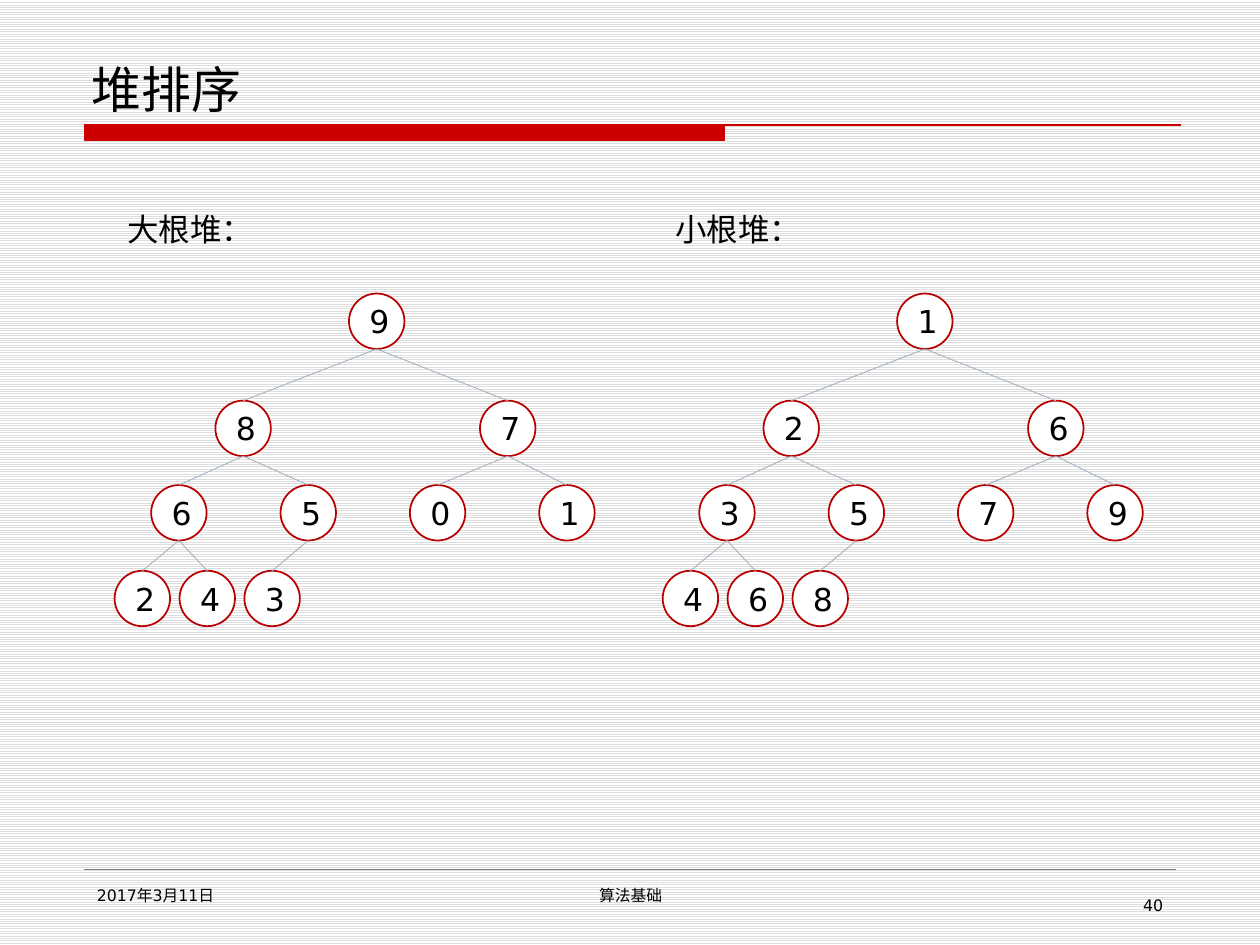
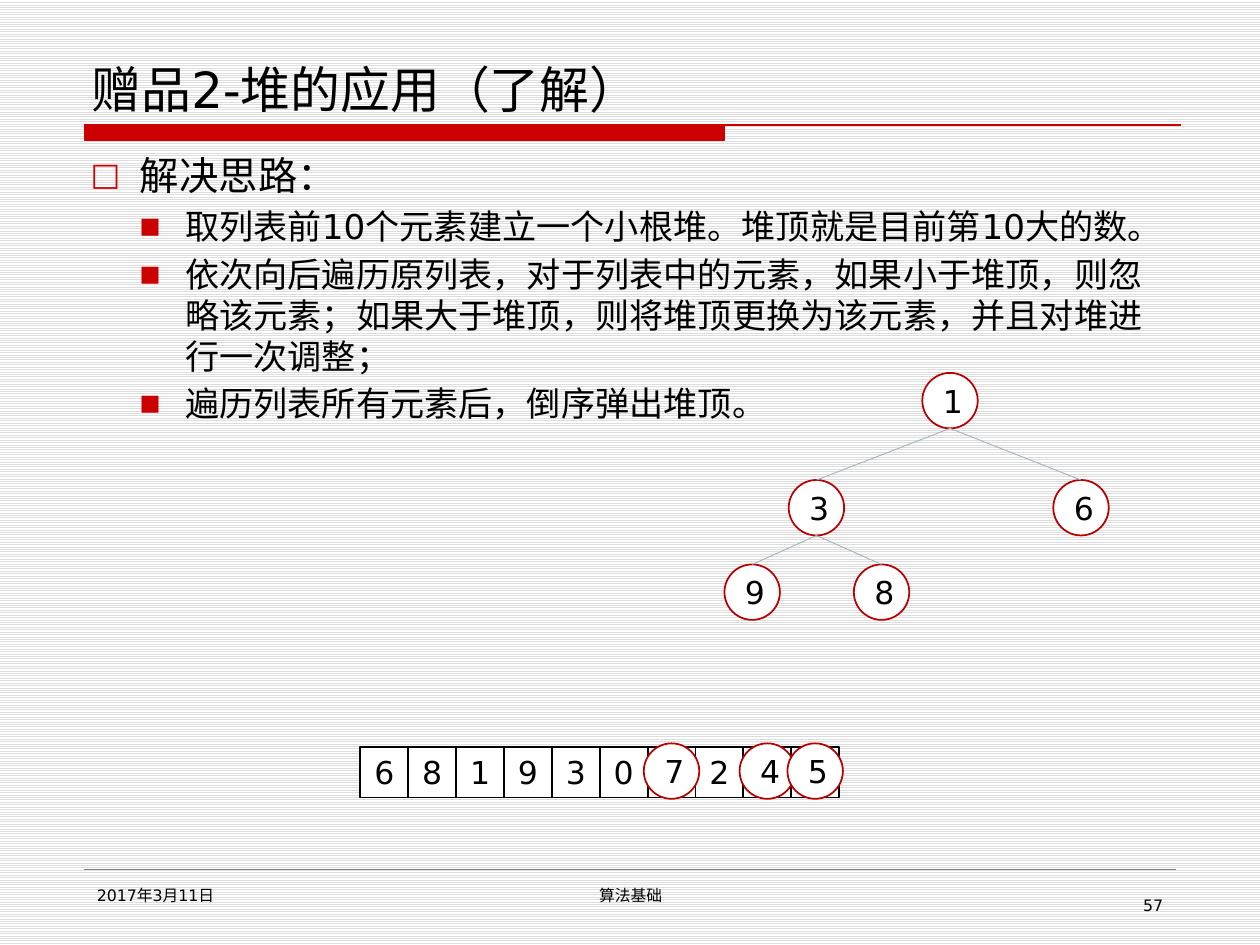
from dataclasses import dataclass

from lxml.etree import SubElement
from pptx import Presentation
from pptx.dml.color import RGBColor
from pptx.enum.dml import MSO_PATTERN
from pptx.enum.shapes import MSO_CONNECTOR, MSO_SHAPE
from pptx.enum.text import MSO_ANCHOR as Anchor, PP_ALIGN as Align
from pptx.oxml.ns import qn
from pptx.util import Inches, Pt


@dataclass(frozen=True)
class Theme:
    font: str = "DejaVu Sans"
    ink: str = "000000"
    paper: str = "FFFFFF"
    stripe: str = "DDDDDD"
    accent: str = "CC0000"
    node_line: str = "B90000"
    edge: str = "A3B2C1"
    footer_line: str = "808080"
    title_size: float = 28.5
    body_size: float = 22.5
    point_size: float = 19.5
    node_size: float = 18
    footer_size: float = 9


THEME = Theme()
NODE = 0.44
CELL_WIDTH, CELL_HEIGHT = 0.38, 0.4
# Node offsets in heap order, from the left and top of the tree
NODE_PLACES = (
    [(1.86, 0), (0.8, 0.85), (2.9, 0.85)]
    + [(0.29 + 3.08 * column / 3, 1.52) for column in range(4)]
    + [(1.03 * column / 2, 2.2) for column in range(3)]
)


def color(value):
    return RGBColor.from_string(value)


def add_run(paragraph, text, size):
    run = paragraph.add_run()
    run.text = text
    run.font.name = THEME.font
    run.font.size = Pt(size)
    run.font.color.rgb = color(THEME.ink)


def add_text(slide, box, text, size, align=Align.LEFT, anchor=Anchor.TOP):
    shape = slide.shapes.add_textbox(*map(Inches, box))
    frame = shape.text_frame
    frame.word_wrap = True
    frame.vertical_anchor = anchor
    paragraph = frame.paragraphs[0]
    paragraph.alignment = align
    add_run(paragraph, text, size)


def style_shape(shape, fill, line, width):
    shape.shadow.inherit = False
    shape.fill.solid()
    shape.fill.fore_color.rgb = color(fill)
    shape.line.color.rgb = color(line)
    shape.line.width = Pt(width)


def add_number(shapes, preset, box, value, line):
    shape = shapes.add_shape(preset, *map(Inches, box))
    style_shape(shape, THEME.paper, line, 1)
    frame = shape.text_frame
    frame.word_wrap = True
    frame.vertical_anchor = Anchor.MIDDLE
    frame.paragraphs[0].alignment = Align.CENTER
    add_run(frame.paragraphs[0], str(value), THEME.node_size)
    return shape


def add_node(shapes, left, top, value):
    box = (left, top, NODE, NODE)
    return add_number(shapes, MSO_SHAPE.OVAL, box, value, THEME.node_line)


def add_line(shapes, start, end, line, width):
    connector = shapes.add_connector(MSO_CONNECTOR.STRAIGHT, *start, *end)
    connector.line.color.rgb = color(line)
    connector.line.width = Pt(width)
    SubElement(connector._element.spPr, qn("a:effectLst"))
    return connector


def add_title_band(slide, left, top, width, height):
    """Draw the thick bar and the thin rule that runs on past it."""
    bar_right, right, bottom = left + 5.08, left + width, top + height
    start = (Inches(left), Inches(top))
    builder = slide.shapes.build_freeform(*start)
    corners = [(bar_right, top), (bar_right, bottom), (left, bottom)]
    builder.add_line_segments([(Inches(x), Inches(y)) for x, y in corners])
    builder.move_to(*start)
    builder.add_line_segments([(Inches(right), Inches(top))], close=False)
    style_shape(builder.convert_to_shape(), THEME.accent, THEME.accent, 1)


def add_footer(slide, left, top, width, number):
    right = left + width
    add_line(slide.shapes, (Inches(left), Inches(top)),
             (Inches(right), Inches(top)), THEME.footer_line, 0.25)
    entries = [
        ((left, top + 0.08, 2.17, 0.37), "2017年3月11日", Align.LEFT),
        ((left + 2.75, top + 0.08, 3.17, 0.37), "算法基础", Align.CENTER),
        ((right - 2.17, top + 0.16, 2.17, 0.29), str(number), Align.RIGHT),
    ]
    for box, text, align in entries:
        add_text(slide, box, text, THEME.footer_size, align)


def new_slide(presentation, title, number):
    slide = presentation.slides.add_slide(presentation.slide_layouts[6])
    fill = slide.background.fill
    fill.patterned()
    fill.pattern = MSO_PATTERN.LIGHT_HORIZONTAL
    fill.fore_color.rgb = color(THEME.stripe)
    fill.back_color.rgb = color(THEME.paper)
    add_title_band(slide, 0.67, 0.99, 8.7, 0.12)
    add_text(slide, (0.63, 0.33, 8.75, 0.66), title, THEME.title_size,
             anchor=Anchor.BOTTOM)
    add_footer(slide, 0.67, 6.9, 8.66, number)
    return slide


def add_heap(shapes, left, top, values):
    """Draw a binary heap whose values come in level order."""
    nodes = [add_node(shapes, left + x, top + y, value)
             for (x, y), value in zip(NODE_PLACES, values)]
    for index, child in enumerate(nodes[1:], start=1):
        parent = nodes[(index - 1) // 2]
        start = (parent.left + parent.width // 2, parent.top + parent.height)
        end = (child.left + child.width // 2, child.top)
        edge = add_line(shapes, start, end, THEME.edge, 0.5)
        edge.end_connect(child, 0)


def add_array(slide, left, top, values, circled):
    lefts = [left + CELL_WIDTH * index for index in range(len(values))]
    for cell_left, value in zip(lefts, values):
        box = (cell_left, top, CELL_WIDTH, CELL_HEIGHT)
        add_number(slide.shapes, MSO_SHAPE.RECTANGLE, box, value, THEME.ink)
    for index in circled:
        add_node(slide.shapes, lefts[index] - 0.03, top - 0.03, values[index])


def set_bullet(paragraph, character, scale, indent, hanging):
    properties = paragraph._p.get_or_add_pPr()
    properties.set("marL", str(Inches(indent)))
    properties.set("indent", str(-Inches(hanging)))
    bullet_color = SubElement(properties, qn("a:buClr"))
    SubElement(bullet_color, qn("a:srgbClr"), val=THEME.accent)
    SubElement(properties, qn("a:buSzPct"), val=str(scale * 1000))
    SubElement(properties, qn("a:buFont"), typeface=THEME.font)
    SubElement(properties, qn("a:buChar"), char=character)


def add_outline(slide, box, heading, points):
    frame = slide.shapes.add_textbox(*map(Inches, box)).text_frame
    frame.word_wrap = True
    frame.margin_right = Inches(0.22)
    first = frame.paragraphs[0]
    set_bullet(first, "□", 80, 0.39, 0.41)
    add_run(first, heading, THEME.body_size)
    for point in points:
        paragraph = frame.add_paragraph()
        paragraph.level = 1
        set_bullet(paragraph, "■", 65, 0.75, 0.36)
        paragraph.space_before = Pt(THEME.point_size * 0.2)
        add_run(paragraph, point, THEME.point_size)


def add_heap_kinds_slide(presentation):
    slide = new_slide(presentation, "堆排序", 40)
    heaps = [
        (0.91, "大根堆：", [9, 8, 7, 6, 5, 0, 1, 2, 4, 3]),
        (5.26, "小根堆：", [1, 2, 6, 3, 5, 7, 9, 4, 6, 8]),
    ]
    for left, label, values in heaps:
        add_heap(slide.shapes.add_group_shape().shapes, left, 2.33, values)
        add_text(slide, (left, 1.62, 1.25, 0.4), label, THEME.node_size)


def add_heap_use_slide(presentation):
    slide = new_slide(presentation, "赠品2-堆的应用（了解）", 57)
    add_outline(slide, (0.62, 1.15, 8.75, 2.37), "解决思路：", [
        "取列表前10个元素建立一个小根堆。堆顶就是目前第10大的数。",
        "依次向后遍历原列表，对于列表中的元素，如果小于堆顶，则忽略该元素；"
        "如果大于堆顶，则将堆顶更换为该元素，并且对堆进行一次调整；",
        "遍历列表所有元素后，倒序弹出堆顶。",
    ])
    add_heap(slide.shapes, 5.46, 2.96, [1, 3, 6, 9, 8])
    add_array(slide, 2.86, 5.93, [6, 8, 1, 9, 3, 0, 7, 2, 4, 5], (6, 8, 9))


def main():
    presentation = Presentation()
    presentation.slide_width = Inches(10)
    presentation.slide_height = Inches(7.5)
    add_heap_kinds_slide(presentation)
    add_heap_use_slide(presentation)
    presentation.save("out.pptx")


if __name__ == "__main__":
    main()
